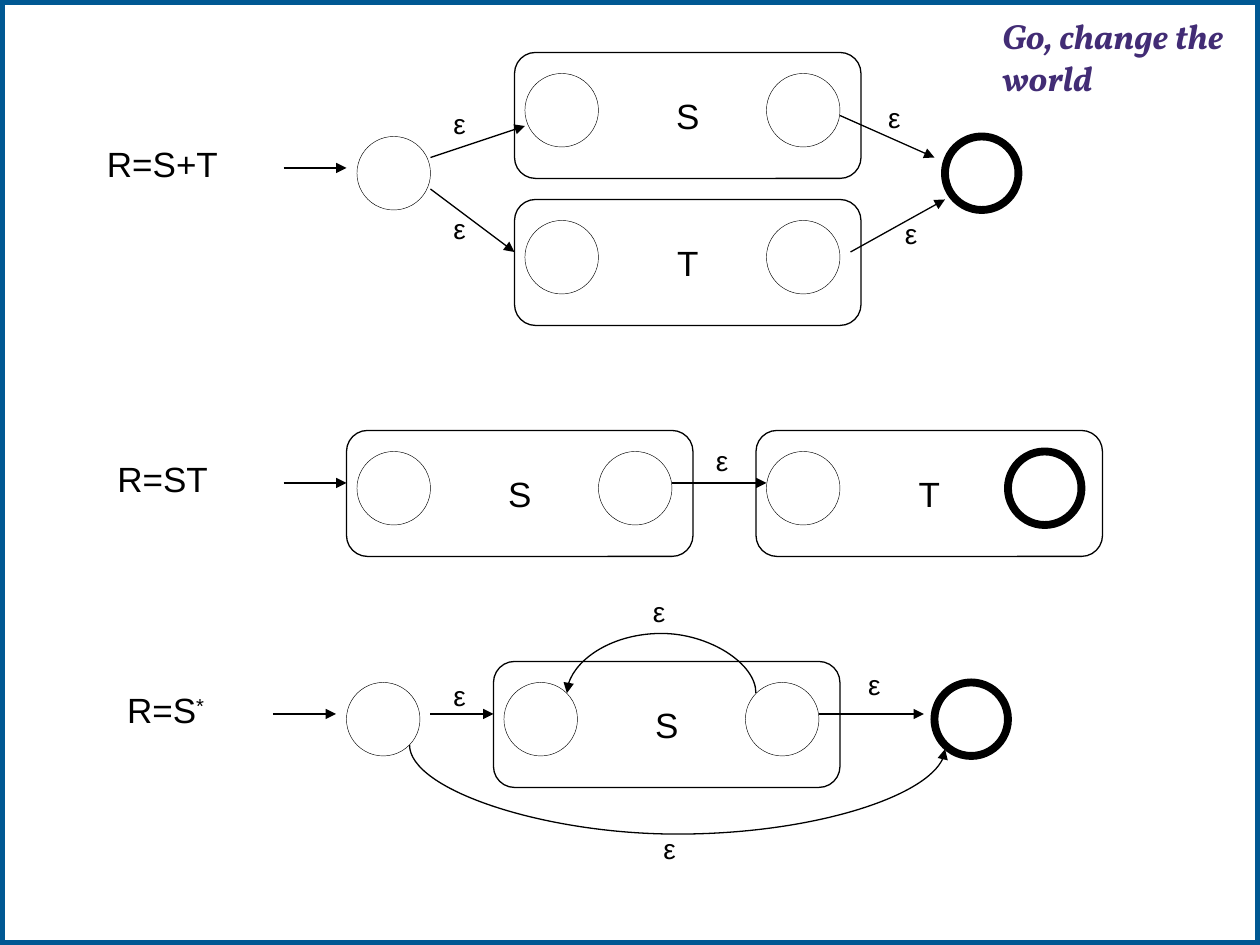
from dataclasses import dataclass

from lxml import etree
from pptx import Presentation
from pptx.dml.color import RGBColor
from pptx.enum.shapes import MSO_CONNECTOR, MSO_SHAPE
from pptx.enum.text import MSO_ANCHOR, MSO_AUTO_SIZE, PP_ALIGN
from pptx.oxml.ns import qn
from pptx.util import Pt

RECT, ROUND, OVAL = MSO_SHAPE.RECTANGLE, MSO_SHAPE.ROUNDED_RECTANGLE, MSO_SHAPE.OVAL
STRAIGHT, CURVE = MSO_CONNECTOR.STRAIGHT, MSO_CONNECTOR.CURVE
CENTER, MIDDLE = PP_ALIGN.CENTER, MSO_ANCHOR.MIDDLE
GROW = MSO_AUTO_SIZE.SHAPE_TO_FIT_TEXT


@dataclass(frozen=True)
class Theme:
    ink: RGBColor = RGBColor(0, 0, 0)
    paper: RGBColor = RGBColor(255, 255, 255)
    frame: RGBColor = RGBColor(0x00, 0x58, 0x93)
    motto: RGBColor = RGBColor(0x42, 0x2C, 0x75)
    body_font: str = "Arial"
    motto_font: str = "Vollkorn"
    label_size: int = 20
    epsilon_size: int = 16


T = Theme()
NODE = 42               # diameter of a state
BOX_W, BOX_H = 198, 72  # size of a sub-automaton
THIN, NORMAL, HEAVY = 0.25, 0.75, 4.5


def set_all(obj, values):
    for name, value in values.items():
        setattr(obj, name, value)


def add_run(p, text, size=T.label_size, color=T.ink, **fmt):
    r = p.add_run()
    r.text = text
    set_all(r.font, {"name": T.body_font, "size": Pt(size), **fmt})
    r.font.color.rgb = color
    return r


def outline(s, kind, x, y, w, h, weight, color=T.ink):
    sp = s.shapes.add_shape(kind, Pt(x), Pt(y), Pt(w), Pt(h))
    sp.shadow.inherit = False
    sp.fill.background()
    sp.line.color.rgb = color
    sp.line.width = Pt(weight)
    return sp


def text_box(s, x, y, w, h, **fmt):
    tf = s.shapes.add_textbox(Pt(x), Pt(y), Pt(w), Pt(h)).text_frame
    set_all(tf, {"word_wrap": False, "auto_size": GROW, **fmt})
    return tf.paragraphs[0]


def label(s, x, y, w, text):
    p = text_box(s, x, y, w, 36)
    add_run(p, text)
    return p


def epsilon(s, x, y):
    add_run(text_box(s, x, y, 21.6, 26.6), "ε", T.epsilon_size)


def state(s, x, y, final=False):
    outline(s, OVAL, x, y, NODE, NODE, HEAVY if final else THIN)


def automaton(s, x, y, name, final=False):
    """A named box with its start state at left and its end state at right."""
    sp = outline(s, ROUND, x, y, BOX_W, BOX_H, NORMAL)
    tf = sp.text_frame
    set_all(tf, {"word_wrap": False, "vertical_anchor": MIDDLE})
    tf.paragraphs[0].alignment = CENTER
    add_run(tf.paragraphs[0], name)
    state(s, x + 6, y + 12)
    state(s, x + 150 - 6, y + 12, final)


def arrow(s, x1, y1, x2, y2, kind=STRAIGHT):
    c = s.shapes.add_connector(kind, Pt(x1), Pt(y1), Pt(x2), Pt(y2))
    c.line.color.rgb = T.ink
    c.line.width = Pt(NORMAL)
    etree.SubElement(c.line._get_or_add_ln(), qn("a:tailEnd"), type="triangle")
    etree.SubElement(c._element.spPr, qn("a:effectLst"))
    return c


def arc(s, x1, y1, x2, y2, depth):
    """A curved arrow that swings down by depth, or up if it is negative."""
    w, h = y2 - y1, abs(x2 - x1)
    left, top = (x1 + x2 - w) / 2, (y1 + y2 - h) / 2
    c = arrow(s, left, top, left + w, top + h, CURVE)
    # The connector lies on its side: a quarter turn with mirrored ends
    xfrm = c._element.spPr.find(qn("a:xfrm"))
    xfrm.set("rot", str(270 * 60000))
    xfrm.set("flipH", "1")
    if x2 < x1:
        xfrm.set("flipV", "1")
    geom = c._element.spPr.find(qn("a:prstGeom"))
    guides = geom.find(qn("a:avLst"))
    if guides is None:
        guides = etree.SubElement(geom, qn("a:avLst"))
    etree.SubElement(guides, qn("a:gd"), name="adj1",
                     fmla=f"val {round(depth / w * 100000)}")


def header(s):
    sp = outline(s, RECT, 0, 0, 720, 540, 6, T.frame)
    sp.fill.solid()
    sp.fill.fore_color.rgb = T.paper
    p = text_box(s, 571.7, 7.2, 147.6, 44.6, word_wrap=True, margin_left=Pt(1),
                 margin_top=Pt(1), margin_right=0, margin_bottom=0)
    add_run(p, "Go, change the world", color=T.motto,
            name=T.motto_font, bold=True, italic=True)


def union(s):
    label(s, 54, 78, 85.7, "R=S+T")
    state(s, 204, 78)
    automaton(s, 294, 30, "S")
    automaton(s, 294, 114, "T")
    state(s, 540, 78, final=True)
    for ends in ((162, 96, 198, 96), (246, 90, 300, 72), (246, 108, 294, 144),
                 (486, 144, 540, 114), (480, 66, 534, 90)):
        arrow(s, *ends)
    for x, y in ((252, 57.6), (252, 117.6), (500.4, 54), (510, 120)):
        epsilon(s, x, y)


def concatenation(s):
    label(s, 60, 258, 72, "R=ST")
    automaton(s, 198, 246, "S")
    automaton(s, 432, 246, "T", final=True)
    for x1, x2 in ((162, 198), (384, 438)):
        arrow(s, x1, 276, x2, 276)
    epsilon(s, 402, 250)


def closure(s):
    p = label(s, 65.5, 390, 65.5, "R=S")
    add_run(p, "*").font._element.set("baseline", "30000")
    state(s, 198, 390)
    automaton(s, 282, 378, "S")
    state(s, 534, 390, final=True)
    for x1, x2 in ((156, 192), (246, 282), (468, 528)):
        arrow(s, x1, 408, x2, 408)
    arc(s, 432, 396, 324, 396.12, -36)    # repeat S
    arc(s, 234, 425.7, 540, 428, 51)      # skip S
    for x, y in ((252, 384), (372, 471.6), (366, 336), (489, 378)):
        epsilon(s, x, y)


def main():
    prs = Presentation()
    prs.slide_width, prs.slide_height = Pt(720), Pt(540)
    s = prs.slides.add_slide(prs.slide_layouts[6])
    header(s)
    union(s)
    concatenation(s)
    closure(s)
    prs.save("out.pptx")


if __name__ == "__main__":
    main()
